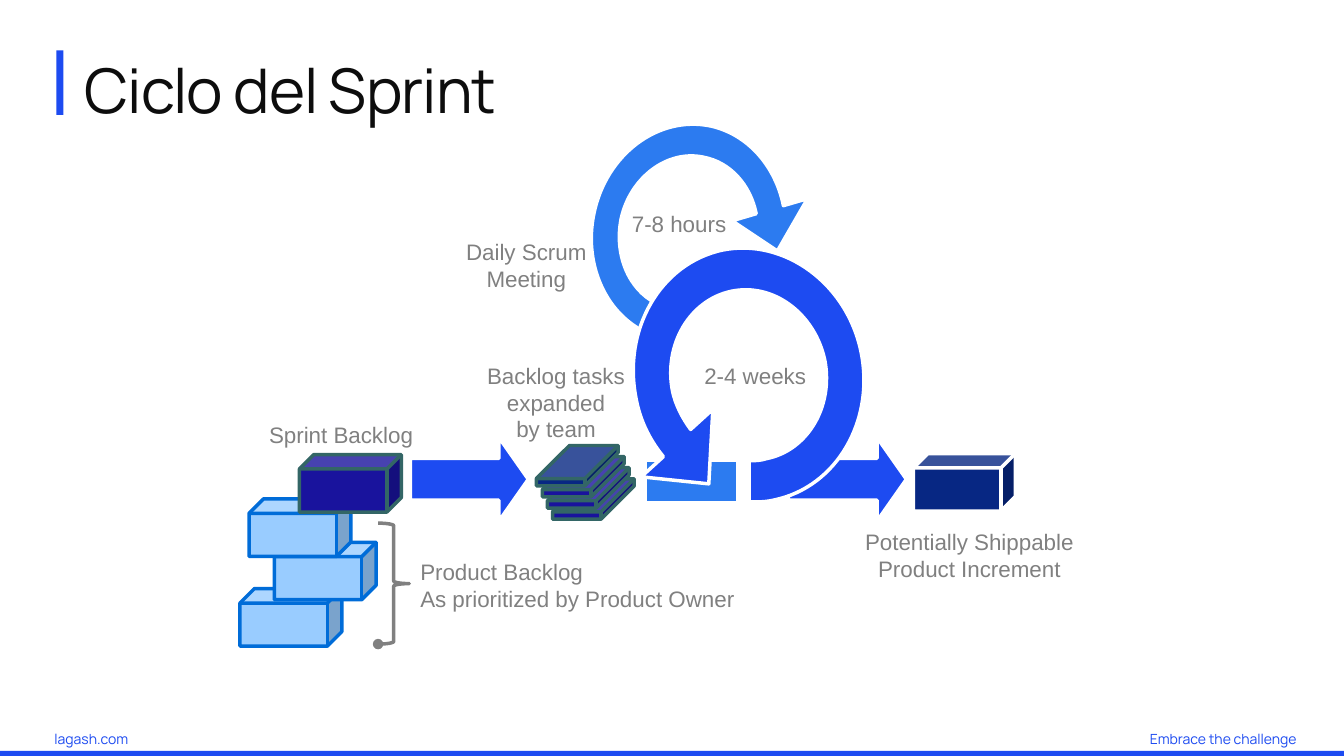
import math
import pptx
import pptx.util
import pptx.dml.color
import pptx.enum.shapes
import pptx.enum.text
import pptx.oxml
import pptx.oxml.ns
from dataclasses import dataclass

PX = 9144  # 100 px to the inch
KIND = pptx.enum.shapes.MSO_SHAPE
ALIGN = pptx.enum.text.PP_ALIGN
ANCHOR = pptx.enum.text.MSO_ANCHOR
NS = pptx.oxml.ns.nsdecls("a")


@dataclass(frozen=True)
class Theme:
    blue: str = "1D4BF1"
    sky: str = "2C7BF0"
    navy: str = "072783"
    indigo: str = "19139D"
    pale: str = "99CCFF"
    azure: str = "006CD8"
    green: str = "336666"
    gray: str = "808080"
    ink: str = "0D0D0D"
    white: str = "FFFFFF"
    brand_font: str = "Manrope"
    label_font: str = "Arial"
    title_size: int = 44
    label_size: int = 16
    foot_size: int = 10
    edge: float = 2.5


T = Theme()

# Loop outlines: a start point, then lines (2 numbers) and curves (6 numbers)
DAY_LOOP = [
    (750, 212), (744, 183, 724, 161, 698, 156), (662, 148, 625, 176, 616, 217),
    (609, 252, 623, 287, 651, 301), (639, 329), (599, 309, 579, 260, 589, 212),
    (601, 153, 653, 114, 705, 125), (741, 133, 769, 164, 777, 204),
    (801, 197), (771, 249), (726, 219), (750, 212),
]
SPRINT_LOOP = [
    (685, 426), (677, 415, 670, 402, 667, 388), (658, 342, 684, 298, 725, 289),
    (767, 280, 808, 311, 818, 357), (827, 403, 801, 447, 760, 455),
    (754, 457, 749, 457, 743, 457), (743, 498), (752, 498, 760, 498, 768, 496),
    (830, 483, 868, 417, 854, 349), (840, 281, 778, 236, 717, 248),
    (655, 261, 617, 327, 631, 396), (635, 417, 644, 436, 658, 453),
    (636, 473), (703, 480), (707, 406), (685, 426),
]


def rgb(code):
    return pptx.dml.color.RGBColor.from_string(code)


def emu(box):
    return [n * PX for n in box]


def paint(shape, fill=None, line=None):
    shape.shadow.inherit = False
    if fill:
        shape.fill.solid()
        shape.fill.fore_color.rgb = rgb(fill)
    else:
        shape.fill.background()
    if line:
        shape.line.color.rgb = rgb(line)
        shape.line.width = pptx.util.Pt(T.edge)
    else:
        shape.line.fill.background()
    return shape


def block(slide, kind, box, fill=None, line=None, adjust=()):
    shape = slide.shapes.add_shape(kind, *emu(box))
    for i, part in enumerate(adjust):
        shape.adjustments[i] = part
    return paint(shape, fill, line)


def cube(slide, left, top, fill, line):
    block(slide, KIND.CUBE, (left, top, 101, 57), fill, line, [0.25])


def arrow(slide, left):
    block(slide, KIND.RIGHT_ARROW, (left, 434, 117, 83), T.blue, T.white,
          [0.5, 0.351])


def turn(point, mid, angle):
    x, y = point[0] - mid[0], point[1] - mid[1]
    c, s = math.cos(math.radians(angle)), math.sin(math.radians(angle))
    return mid[0] + x * c - y * s, mid[1] + x * s + y * c


def loop(slide, outline, box, angle, fill):
    """A curved outline, laid flat in its box and then turned."""
    left, top, width, height = emu(box)
    mid = left + width / 2, top + height / 2
    steps = [[turn(emu(step[i:i + 2]), mid, -angle)
              for i in range(0, len(step), 2)] for step in outline]
    ends = [step[-1] for step in steps]
    form = slide.shapes.build_freeform(*ends[0], scale=1.0)
    form.add_line_segments(ends[1:], close=True)
    shape = paint(form.convert_to_shape(), fill, T.white)

    # Bend the straight parts that have control points
    lines = list(shape._element.iter(pptx.oxml.ns.qn("a:lnTo")))
    for line, step in zip(lines, steps[1:]):
        if len(step) == 3:
            points = "".join(
                f'<a:pt x="{round(x - shape.left)}" y="{round(y - shape.top)}"/>'
                for x, y in step)
            line.getparent().replace(line, pptx.oxml.parse_xml(
                f"<a:cubicBezTo {NS}>{points}</a:cubicBezTo>"))

    # Turn about the middle of the box
    half = shape.width / 2, shape.height / 2
    x, y = turn((shape.left + half[0], shape.top + half[1]), mid, angle)
    shape.left, shape.top = round(x - half[0]), round(y - half[1])
    shape.rotation = angle


def write(shape, lines, font=T.label_font, size=T.label_size, color=T.gray,
          align=ALIGN.CENTER, anchor=ANCHOR.TOP, wrap=False, inset=None,
          leading=None, track=None):
    frame = shape.text_frame
    frame.word_wrap = wrap
    frame.vertical_anchor = anchor
    if inset is not None:
        frame.margin_left = frame.margin_right = inset
        frame.margin_top = frame.margin_bottom = inset
    for i, line in enumerate(lines):
        para = frame.add_paragraph() if i else frame.paragraphs[0]
        para.alignment = align
        if leading:
            para.line_spacing = leading
        run = para.add_run()
        run.text = line
        run.font.name = font
        run.font.size = pptx.util.Pt(size)
        run.font.color.rgb = rgb(color)
        if track:
            run.font._element.set("spc", str(track))


def label(slide, box, *lines, **style):
    write(slide.shapes.add_textbox(*emu(box)), lines, **style)


def foot(slide, box, line, align):
    write(block(slide, KIND.RECTANGLE, box, T.white), [line], align=align,
          font=T.brand_font, size=T.foot_size, color=T.blue, wrap=True, inset=0)


def brace(slide, box):
    shape = block(slide, KIND.RIGHT_BRACE, box, line=T.gray)
    shape.line._get_or_add_ln().append(
        pptx.oxml.parse_xml(f'<a:tailEnd {NS} type="oval"/>'))


def frame_page(slide):
    # Footer and title
    foot(slide, (1109, 725, 177, 17), "Embrace the challenge", ALIGN.RIGHT)
    foot(slide, (54, 725, 248, 17), "lagash.com", ALIGN.LEFT)
    block(slide, KIND.RECTANGLE, (0, 745, 1333, 5), T.blue)
    block(slide, KIND.RECTANGLE, (56, 50, 7, 64), T.blue)
    title = slide.shapes.title
    title.left, title.top, title.width, title.height = emu((74, 50, 1209, 86))
    write(title, ["Ciclo del Sprint"], font=T.brand_font, size=T.title_size,
          color=T.ink, align=ALIGN.LEFT, anchor=ANCHOR.MIDDLE, wrap=True,
          leading=0.9, track=-70)


def draw_cycle(slide):
    # Way out of the sprint and the daily loop
    arrow(slide, 782)
    block(slide, KIND.RECTANGLE, (640, 457, 92, 42), T.sky, T.white)
    loop(slide, DAY_LOOP, (574, 135, 217, 192), 101.8, T.sky)
    # Product backlog, sprint backlog and task stack
    for left, top in ((238, 584), (272, 538), (247, 495)):
        cube(slide, left, top, T.pale, T.azure)
    cube(slide, 297, 451, T.indigo, T.green)
    for i, fill in enumerate([T.indigo] * 3 + [T.navy]):
        block(slide, KIND.CUBE, (548 - 16 * i // 3, 475 - 11 * i, 81, 40),
              fill, T.green, [0.82])
    # Sprint loop, way in and product
    loop(slide, SPRINT_LOOP, (616, 258, 253, 228), 258.2, T.blue)
    arrow(slide, 407)
    cube(slide, 906, 450, T.navy, T.white)
    brace(slide, (375, 519, 31, 120))


def add_labels(slide):
    label(slide, (688, 354, 122, 37), "2-4 weeks")
    label(slide, (616, 204, 115, 37), "7-8 hours")
    label(slide, (407, 549, 333, 64), "Product Backlog",
          "As prioritized by Product Owner", align=ALIGN.LEFT)
    label(slide, (257, 413, 163, 37), "Sprint Backlog", align=ALIGN.LEFT)
    label(slide, (473, 354, 157, 90), "Backlog tasks", "expanded", "by team")
    label(slide, (848, 519, 227, 64), "Potentially Shippable",
          "Product Increment")
    label(slide, (452, 231, 140, 64), "Daily Scrum", "Meeting")


def main():
    deck = pptx.Presentation()
    deck.slide_width, deck.slide_height = emu((1333, 750))
    slide = deck.slides.add_slide(deck.slide_layouts[5])
    frame_page(slide)
    draw_cycle(slide)
    add_labels(slide)
    deck.save("out.pptx")


if __name__ == "__main__":
    main()
